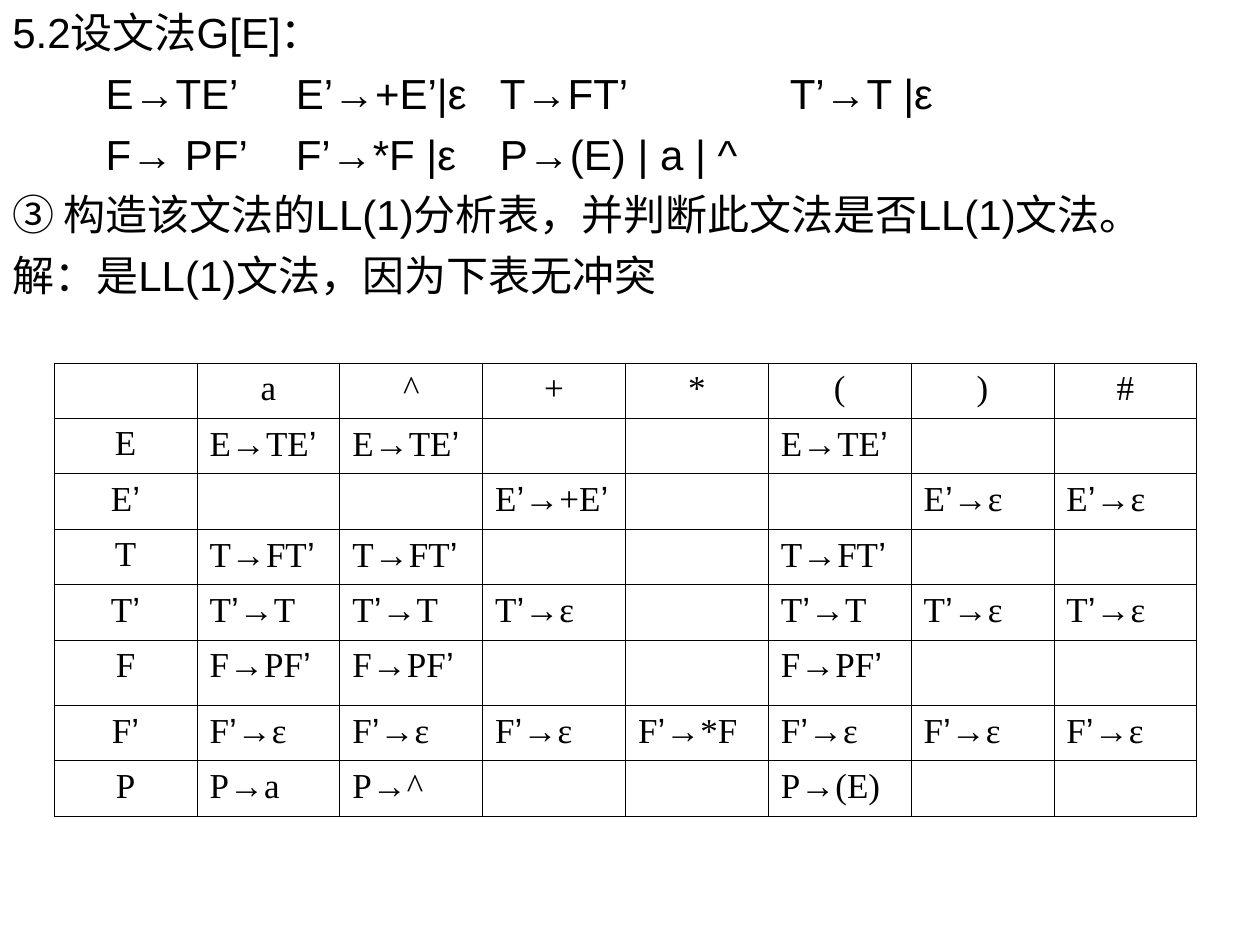
"""Build the LL(1) parsing table slide for exercise 5.2."""
import itertools

import pptx
import pptx.dml.color
import pptx.enum.text
import pptx.oxml.ns
import pptx.util
from lxml import etree

Inches = pptx.util.Inches
ALIGN = pptx.enum.text.PP_ALIGN
COLORS = {"ink": "000000"}
PRIME_FONT = "Arial"
GRAMMAR_STOPS = [0.74, 2.25, 3.87, 6.17]
STATEMENT = [
    "5.2设文法G[E]：",
    "\tE→TE’\tE’→+E’|ε\tT→FT’\tT’→T |ε",
    "\tF→ PF’\tF’→*F |ε\tP→(E) | a | ^",
    "③ 构造该文法的LL(1)分析表，并判断此文法是否LL(1)文法。",
    "解：是LL(1)文法，因为下表无冲突",
]
PARSING_TABLE = [
    ["", "a", "^", "+", "*", "(", ")", "#"],
    ["E", "E→TE’", "E→TE’", "", "", "E→TE’", "", ""],
    ["E’", "", "", "E’→+E’", "", "", "E’→ε", "E’→ε"],
    ["T", "T→FT’", "T→FT’", "", "", "T→FT’", "", ""],
    ["T’", "T’→T", "T’→T", "T’→ε", "", "T’→T", "T’→ε", "T’→ε"],
    ["F", "F→PF’", "F→PF’", "", "", "F→PF’", "", ""],
    ["F’", "F’→ε", "F’→ε", "F’→ε", "F’→*F", "F’→ε", "F’→ε", "F’→ε"],
    ["P", "P→a", "P→^", "", "", "P→(E)", "", ""],
]
ROW_HEIGHTS = [0.44, 0.44, 0.44, 0.44, 0.44, 0.52, 0.44, 0.44]


def add_element(parent, tag, **attributes):
    return etree.SubElement(parent, pptx.oxml.ns.qn(tag), attributes)


def write_text(paragraph, text, *, size, font, align=ALIGN.LEFT, before=0, stops=()):
    if stops:
        tab_list = add_element(paragraph._p.get_or_add_pPr(), "a:tabLst")
        for stop in stops:
            add_element(tab_list, "a:tab", pos=str(Inches(stop)), algn="l")
    paragraph.alignment = align
    paragraph.space_before = pptx.util.Pt(before)
    for typeface, letters in itertools.groupby(
        text, key=lambda letter: PRIME_FONT if letter == "’" else font
    ):
        run = paragraph.add_run()
        run.text = "".join(letters)
        run.font.name = typeface
        run.font.size = pptx.util.Pt(size)
        run.font.color.rgb = pptx.dml.color.RGBColor.from_string(COLORS["ink"])


def add_statement(slide):
    box = slide.shapes.add_textbox(0, 0, Inches(10), Inches(2.57))
    frame = box.text_frame
    frame.word_wrap = True
    for index, line in enumerate(STATEMENT):
        paragraph = frame.add_paragraph() if index else frame.paragraphs[0]
        write_text(
            paragraph, line, size=24, font="Arial", before=6 if index else 0,
            stops=GRAMMAR_STOPS if "\t" in line else (),
        )


def style_cell(cell):
    properties = cell._tc.get_or_add_tcPr()
    for side in ("a:lnL", "a:lnR", "a:lnT", "a:lnB"):
        border = add_element(properties, side, w=str(pptx.util.Pt(0.45)))
        ink = add_element(border, "a:solidFill")
        add_element(ink, "a:srgbClr", val=COLORS["ink"])
    cell.fill.background()


def add_parsing_table(slide):
    row_count, column_count = len(PARSING_TABLE), len(PARSING_TABLE[0])
    table = slide.shapes.add_table(
        row_count, column_count,
        Inches(0.43), Inches(2.88), Inches(9.07), Inches(sum(ROW_HEIGHTS)),
    ).table
    table.first_row = table.horz_banding = False
    for row, height in zip(table.rows, ROW_HEIGHTS):
        row.height = Inches(height)
    for row, column in itertools.product(range(row_count), range(column_count)):
        cell = table.cell(row, column)
        style_cell(cell)
        is_header = row == 0 or column == 0
        write_text(
            cell.text_frame.paragraphs[0], PARSING_TABLE[row][column],
            size=20, font="Times New Roman",
            align=ALIGN.CENTER if is_header else ALIGN.LEFT,
        )


def main():
    deck = pptx.Presentation()
    deck.slide_width, deck.slide_height = Inches(10), Inches(7.5)
    slide = deck.slides.add_slide(deck.slide_layouts[6])
    add_statement(slide)
    add_parsing_table(slide)
    deck.save("out.pptx")


if __name__ == "__main__":
    main()
